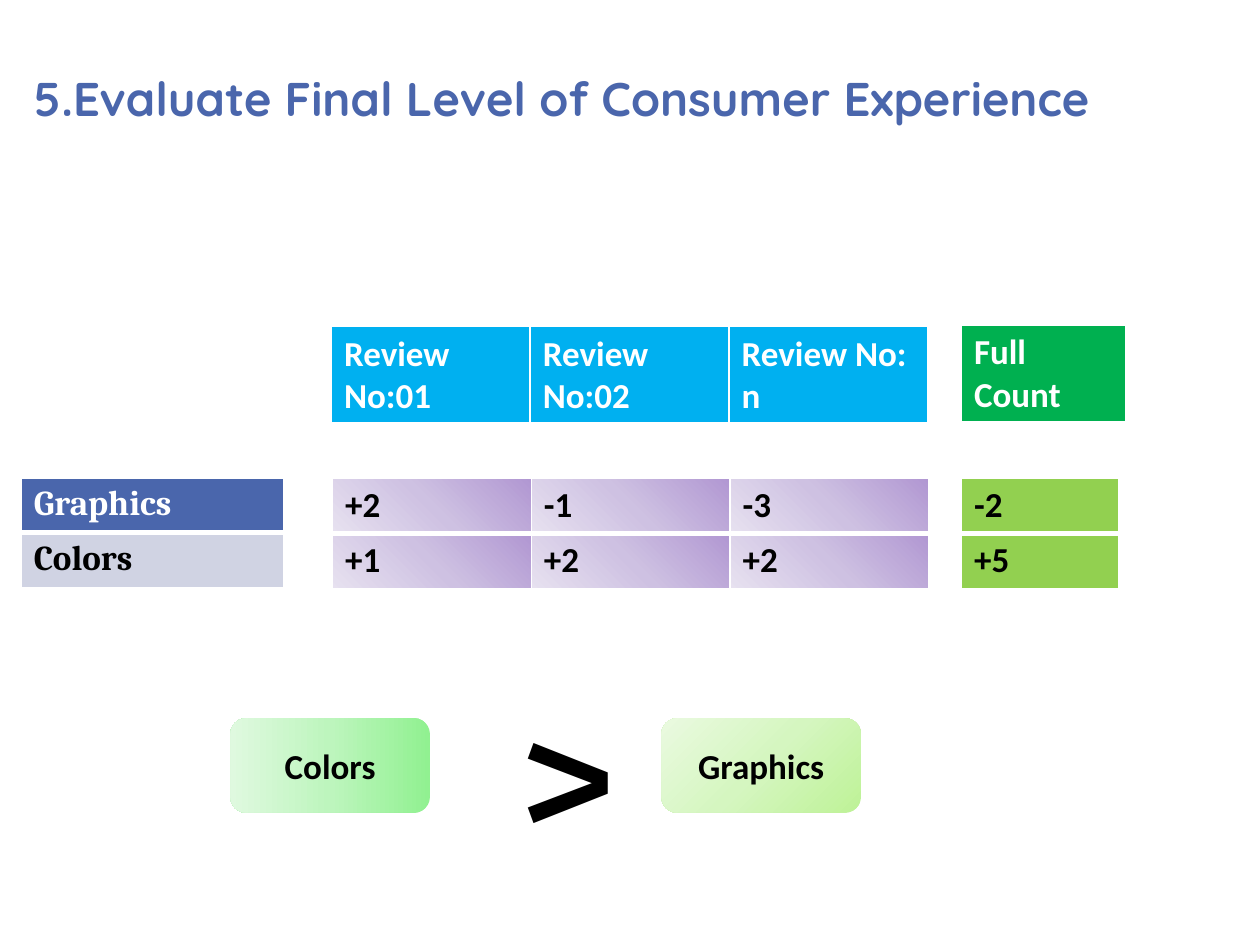
from lxml import etree
from pptx import Presentation
from pptx.dml.color import RGBColor
from pptx.enum.shapes import MSO_SHAPE
from pptx.enum.text import MSO_ANCHOR, MSO_AUTO_SIZE, PP_ALIGN
from pptx.oxml.ns import qn
from pptx.util import Pt

ROUNDED = MSO_SHAPE.ROUNDED_RECTANGLE
TOP, MIDDLE = MSO_ANCHOR.TOP, MSO_ANCHOR.MIDDLE
LEFT, CENTER = PP_ALIGN.LEFT, PP_ALIGN.CENTER
FIXED = MSO_AUTO_SIZE.NONE

THEME = {
    "title_font": "Quicksand", "serif": "Cambria", "sans": "Calibri",
    "title_size": 27, "text_size": 20, "sign_size": 96,
    "blue": "4A66AC", "pale_blue": "D0D3E3", "sky": "00B0F0",
    "green": "00B050", "lime": "92D050", "white": "FFFFFF", "black": "000000",
    "violet_blend": ("B197D2", "CEC1E2", "E7E1F0"),
    "mint_blend": ("91F191", "BDF5BD", "DFF9DF"),
    "lime_blend": ("BEF297", "D5F6C0", "EAFAE0"),
}

TITLE = "5.Evaluate Final Level of Consumer Experience"
SIGN = ">"
ROW_HEIGHT, HEADER_HEIGHT = 31.4, 55.2

# left, top, column width, row height, font, rows, one (fill, text colour) per row
TABLES = [
    (190, 273, 113.6, ROW_HEIGHT, "sans",
     [["+2", "-1", "-3"], ["+1", "+2", "+2"]], [("violet_blend", "black")] * 2),
    (189.4, 186.5, 113.6, HEADER_HEIGHT, "sans",
     [["Review No:01", "Review No:02", "Review No: n"]], [("sky", "white")]),
    (12.2, 273, 150, ROW_HEIGHT, "serif",
     [["Graphics"], ["Colors"]], [("blue", "white"), ("pale_blue", "black")]),
    (549.4, 273, 90, ROW_HEIGHT, "sans",
     [["-2"], ["+5"]], [("lime", "black")] * 2),
    (549.4, 185.6, 93.6, HEADER_HEIGHT, "sans",
     [["Full Count"]], [("green", "white")]),
]

# text, left, blend, angle
CARDS = [("Colors", 131.7, "mint_blend", 180), ("Graphics", 378, "lime_blend", 225)]


def style(para, font, size, color):
    para.font.name = THEME[font]
    para.font.size = Pt(THEME[size])
    para.font.bold = True
    para.font.color.rgb = RGBColor.from_string(THEME[color])


def gradient(blend, angle=None):
    fill = etree.Element(qn("a:gradFill"), rotWithShape="1")
    stops = etree.SubElement(fill, qn("a:gsLst"))
    for position, color in zip((0, 50000, 100000), THEME[blend]):
        stop = etree.SubElement(stops, qn("a:gs"), pos=str(position))
        etree.SubElement(stop, qn("a:srgbClr"), val=color)
    if angle is None:
        path = etree.SubElement(fill, qn("a:path"), path="circle")
        etree.SubElement(path, qn("a:fillToRect"), l="100000", b="100000")
    else:
        etree.SubElement(fill, qn("a:lin"), ang=str(angle * 60000), scaled="0")
    return fill


def add_borders(cell, bottom):
    properties = cell._tc.get_or_add_tcPr()
    for side, width in (("L", 1), ("R", 1), ("T", 1), ("B", bottom)):
        line = etree.SubElement(properties, qn(f"a:ln{side}"), w=str(Pt(width)))
        solid = etree.SubElement(line, qn("a:solidFill"))
        etree.SubElement(solid, qn("a:srgbClr"), val=THEME["white"])
    return properties


def add_grid(page, left, top, width, height, font, rows, looks):
    table = page.shapes.add_table(
        len(rows), len(rows[0]), Pt(left), Pt(top),
        Pt(width * len(rows[0])), Pt(height * len(rows))).table
    table.first_row = table.horz_banding = False
    for column in table.columns:
        column.width = Pt(width)
    for r, (texts, (fill, color)) in enumerate(zip(rows, looks)):
        for c, text in enumerate(texts):
            cell = table.cell(r, c)
            properties = add_borders(cell, 3 if r == 0 else 1)
            if fill.endswith("blend"):
                properties.append(gradient(fill))
            else:
                cell.fill.solid()
                cell.fill.fore_color.rgb = RGBColor.from_string(THEME[fill])
            cell.text = text
            style(cell.text_frame.paragraphs[0], font, "text_size", color)


def add_card(page, text, left, blend, angle):
    card = page.shapes.add_shape(ROUNDED, Pt(left), Pt(410.4), Pt(114), Pt(54))
    card.shadow.inherit = False
    card.line.fill.background()
    card._element.spPr.find(qn("a:prstGeom")).addnext(gradient(blend, angle))
    frame = card.text_frame
    frame.text = text
    frame.vertical_anchor = MIDDLE
    para = frame.paragraphs[0]
    para.alignment = CENTER
    style(para, "sans", "text_size", "black")


def main():
    deck = Presentation()
    deck.slide_width, deck.slide_height = Pt(720), Pt(540)
    page = deck.slides.add_slide(deck.slide_layouts[5])

    title = page.shapes.title
    title.left, title.top, title.width, title.height = Pt(12.2), Pt(36), Pt(624), Pt(65.5)
    title.text = TITLE
    title.text_frame.vertical_anchor = TOP
    title.text_frame.auto_size = FIXED
    heading = title.text_frame.paragraphs[0]
    heading.alignment = LEFT
    style(heading, "title_font", "title_size", "blue")

    for table in TABLES:
        add_grid(page, *table)
    for card in CARDS:
        add_card(page, *card)

    sign = page.shapes.add_textbox(Pt(288.7), Pt(375), Pt(63.4), Pt(124))
    sign.text_frame.text = SIGN
    sign.text_frame.word_wrap = False
    sign.text_frame.vertical_anchor = MIDDLE
    style(sign.text_frame.paragraphs[0], "serif", "sign_size", "black")

    deck.save("out.pptx")


if __name__ == "__main__":
    main()
